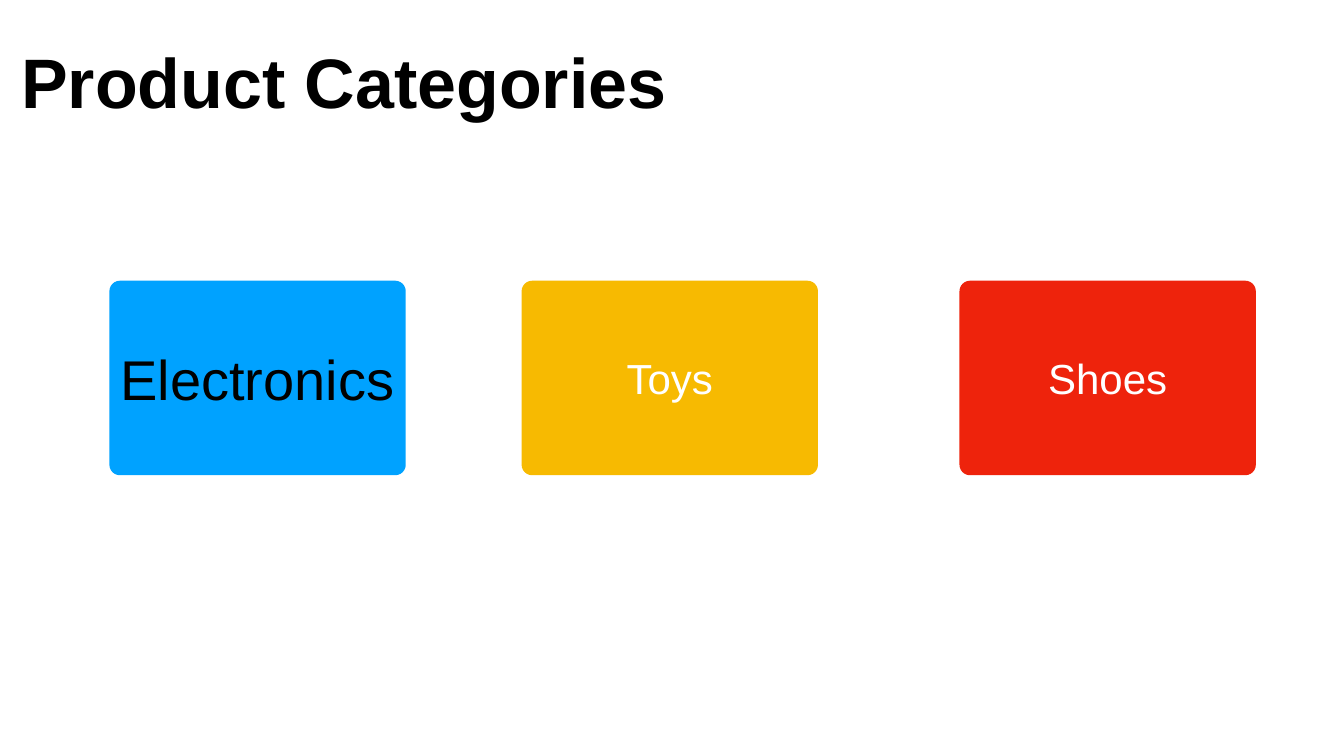
"""Build the Product Categories slide with a title and three coloured cards."""
from pptx import Presentation
from pptx.dml.color import RGBColor
from pptx.enum.shapes import MSO_SHAPE
from pptx.enum.text import MSO_ANCHOR, MSO_AUTO_SIZE, PP_ALIGN
from pptx.util import Inches, Pt

presentation = Presentation()
presentation.slide_width = Inches(26.67)
presentation.slide_height = Inches(15)
slide = presentation.slides.add_slide(presentation.slide_layouts[6])


def place(left, top, width, height):
    """Turn percentages of the slide into lengths."""
    across = presentation.slide_width / 100
    down = presentation.slide_height / 100
    return int(left * across), int(top * down), int(width * across), int(height * down)


def write(shape, text, size, color, inset, bold=False):
    """Write one centred line into a shape."""
    frame = shape.text_frame
    frame.vertical_anchor = MSO_ANCHOR.MIDDLE
    frame.margin_left = frame.margin_right = Inches(inset)
    frame.margin_top = frame.margin_bottom = Inches(inset)
    paragraph = frame.paragraphs[0]
    paragraph.alignment = PP_ALIGN.CENTER
    run = paragraph.add_run()
    run.text = text
    run.font.name = "Arial"
    run.font.size = Pt(size)
    run.font.bold = bold
    run.font.color.rgb = RGBColor.from_string(color)


title = slide.shapes.add_textbox(*place(1.2, 4.67, 48.78, 11.87))
title.text_frame.word_wrap = False
title.text_frame.auto_size = MSO_AUTO_SIZE.SHAPE_TO_FIT_TEXT
write(title, "Product Categories", 100, "000000", 0.06, bold=True)

categories = [
    ("Electronics", 8.14, "00A2FF", 80, "000000"),
    ("Toys", 38.81, "F7BA01", 60, "FFFFFF"),
    ("Shoes", 71.39, "EE230C", 60, "FFFFFF"),
]
for name, left, fill, size, color in categories:
    card = slide.shapes.add_shape(
        MSO_SHAPE.ROUNDED_RECTANGLE, *place(left, 37.13, 22.05, 25.73)
    )
    card.adjustments[0] = 0.054
    card.shadow.inherit = False
    card.fill.solid()
    card.fill.fore_color.rgb = RGBColor.from_string(fill)
    card.line.fill.background()
    card.text_frame.word_wrap = True
    write(card, name, size, color, 0)

presentation.save("out.pptx")
